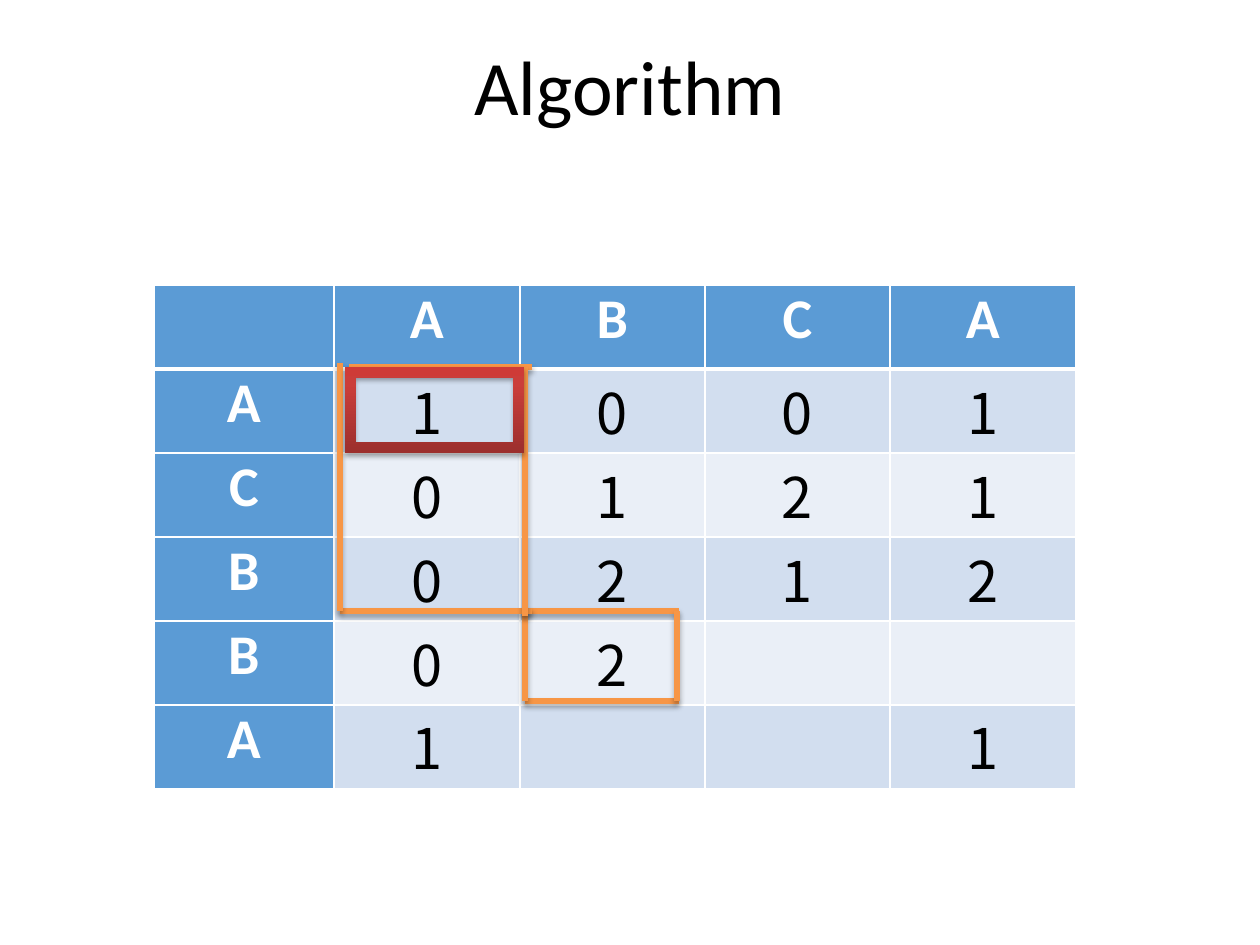
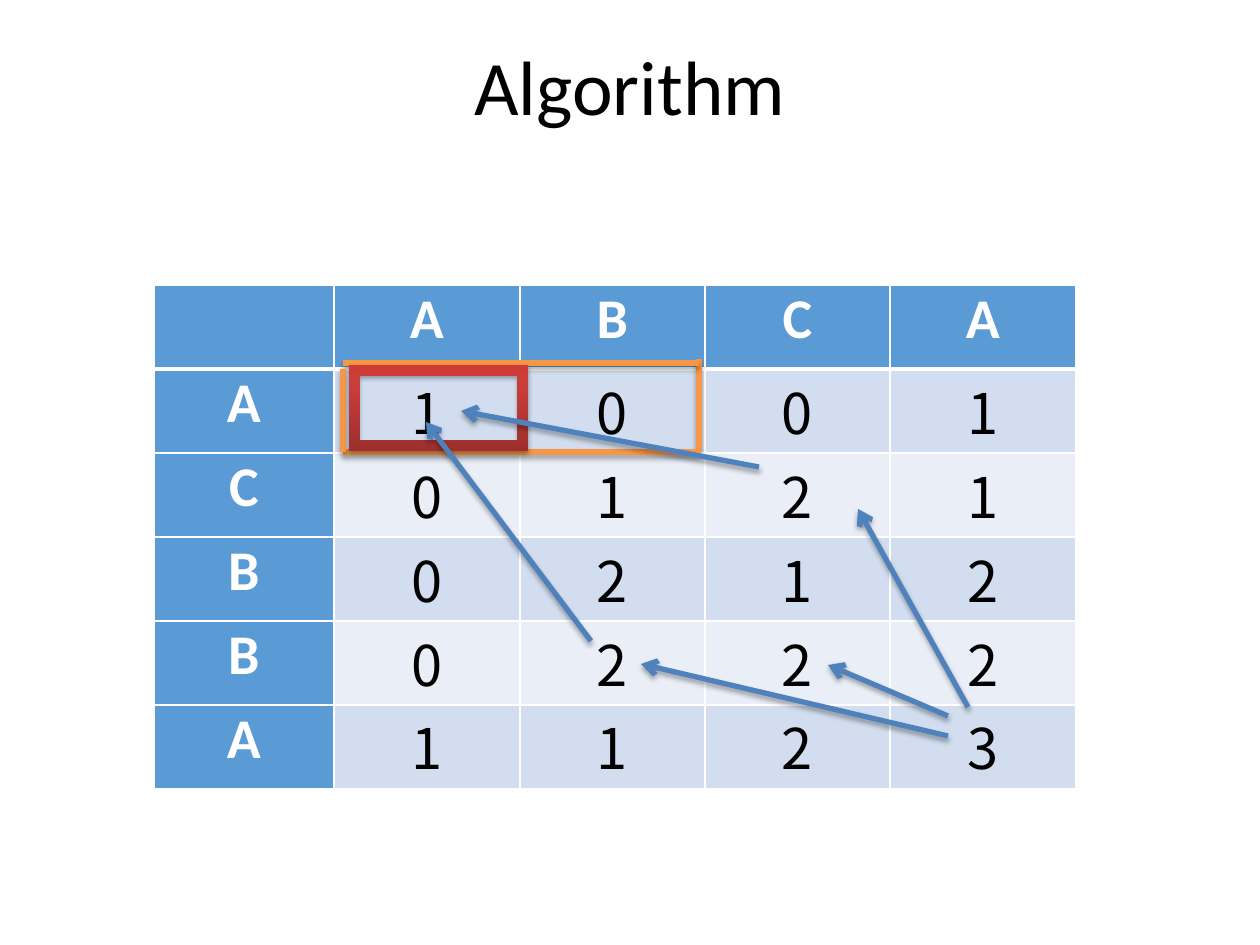
from copy import deepcopy

from lxml import etree
from pptx import Presentation
from pptx.dml.color import RGBColor
from pptx.enum.shapes import MSO_CONNECTOR, MSO_SHAPE
from pptx.enum.text import MSO_ANCHOR, PP_ALIGN
from pptx.oxml.ns import qn
from pptx.util import Emu, Pt

STRAIGHT = MSO_CONNECTOR.STRAIGHT
FRAME = MSO_SHAPE.FRAME
CENTER = PP_ALIGN.CENTER
MIDDLE = MSO_ANCHOR.MIDDLE
TOP = MSO_ANCHOR.TOP

COLORS = {
    "white": "FFFFFF", "black": "000000", "header": "5B9BD5",
    "odd_row": "D2DEEF", "even_row": "EAEFF7",
    "outline": "F79646", "arrow": "4F81BD",
}
FRAME_STOPS = [(0, "9C2F2D"), (0.8, "CB3E3A"), (1, "CE3B37")]
HEADING_FONT = "Calibri"
NUMBER_FONT = "Noto Sans CJK SC"

TITLE = "Algorithm"
TITLE_BOX = (63, 6, 1134, 158)
COLUMN_LABELS = ["A", "B", "C", "A"]
ROW_LABELS = ["A", "C", "B", "B", "A"]
TABLE_ORIGIN = (154, 285)
COLUMN_WIDTHS = [180, 186, 185, 185, 186]
ROW_HEIGHT = 84
CELL_INSET = 9

PAGES = [
    {
        "scores": ["1001", "0121", "0212", ("0", "2", "", ""), ("1", "", "", "1")],
        "outlines": [
            (679, 611, 525, 611), (679, 701, 525, 701),
            (677, 701, 677, 611), (525, 701, 525, 611),
            (532, 611, 340, 611), (532, 367, 349, 367),
            (525, 616, 525, 367), (340, 611, 340, 363),
        ],
        "frame": (345, 367, 179, 86),
        "arrows": [],
    },
    {
        "scores": ["1001", "0121", "0212", "0222", "1123"],
        "outlines": [
            (699, 359, 699, 452), (699, 452, 343, 452),
            (343, 363, 699, 363), (343, 452, 343, 369),
        ],
        "frame": (349, 365, 179, 86),
        "arrows": [
            (968, 707, 858, 509), (948, 716, 828, 665), (948, 736, 641, 664),
            (591, 641, 426, 422), (759, 467, 461, 411),
        ],
    },
]


def px(length):
    return Emu(round(length * 914400 / 126))


def place(lengths):
    return [px(length) for length in lengths]


def color(name):
    return RGBColor.from_string(COLORS[name])


def write(frame, text, font_name, size, color_name, bold=False):
    frame.text = text
    para = frame.paragraphs[0]
    para.alignment = CENTER
    for span in para.runs:
        span.font.name = font_name
        span.font.size = Pt(size)
        span.font.bold = bold
        span.font.color.rgb = color(color_name)


def add_title(page):
    box = page.shapes.add_textbox(*place(TITLE_BOX))
    box.text_frame.word_wrap = True
    box.text_frame.vertical_anchor = MIDDLE
    write(box.text_frame, TITLE, HEADING_FONT, 44, "black")


def set_borders(cell, row):
    properties = cell._tc.get_or_add_tcPr()
    widths = {"lnL": 1, "lnR": 1, "lnT": 3 if row == 1 else 1, "lnB": 3 if row == 0 else 1}
    for index, (side, width) in enumerate(widths.items()):
        border = etree.Element(qn("a:" + side), w=str(Pt(width)))
        fill = etree.SubElement(border, qn("a:solidFill"))
        etree.SubElement(fill, qn("a:srgbClr"), val=COLORS["white"])
        properties.insert(index, border)


def add_score_table(page, scores):
    rows = [["", *COLUMN_LABELS]]
    rows += [[label, *values] for label, values in zip(ROW_LABELS, scores)]
    size = (sum(COLUMN_WIDTHS), ROW_HEIGHT * len(rows))
    table = page.shapes.add_table(
        len(rows), len(COLUMN_WIDTHS), *place(TABLE_ORIGIN + size)).table
    table.first_row = table.horz_banding = False
    for column, width in zip(table.columns, COLUMN_WIDTHS):
        column.width = px(width)
    for r, values in enumerate(rows):
        table.rows[r].height = px(ROW_HEIGHT)
        for c, value in enumerate(values):
            cell = table.cell(r, c)
            heading = r == 0 or c == 0
            band = "header" if heading else "odd_row" if r % 2 else "even_row"
            cell.margin_left = cell.margin_right = px(CELL_INSET)
            cell.margin_top = cell.margin_bottom = 0
            cell.vertical_anchor = TOP
            cell.fill.solid()
            cell.fill.fore_color.rgb = color(band)
            set_borders(cell, r)
            if heading:
                write(cell.text_frame, value, HEADING_FONT, 32, "white", True)
            else:
                write(cell.text_frame, value, NUMBER_FONT, 32, "black")


def add_shadow(shape):
    effects = etree.SubElement(shape.element.spPr, qn("a:effectLst"))
    shadow = etree.SubElement(
        effects, qn("a:outerShdw"), blurRad=str(Pt(3.1)), dist=str(Pt(1.8)),
        dir="5400000", rotWithShape="0")
    shade = etree.SubElement(shadow, qn("a:srgbClr"), val=COLORS["black"])
    etree.SubElement(shade, qn("a:alpha"), val="35000")


def add_line(page, ends, color_name, arrowhead=False):
    line = page.shapes.add_connector(STRAIGHT, *place(ends))
    line.line.width = Pt(3)
    line.line.color.rgb = color(color_name)
    if arrowhead:
        stroke = line.element.spPr.find(qn("a:ln"))
        etree.SubElement(stroke, qn("a:tailEnd"), type="arrow")
    add_shadow(line)


def add_cell_frame(page, bounds):
    frame = page.shapes.add_shape(FRAME, *place(bounds))
    frame.fill.gradient()
    frame.fill.gradient_angle = 90
    stop_list = frame.element.spPr.find(".//" + qn("a:gsLst"))
    stop_list.append(deepcopy(stop_list[0]))
    for stop, (position, shade) in zip(frame.fill.gradient_stops, FRAME_STOPS):
        stop.position = position
        stop.color.rgb = RGBColor.from_string(shade)
    frame.line.fill.background()
    add_shadow(frame)


def main():
    deck = Presentation()
    deck.slide_width, deck.slide_height = px(1260), px(945)
    for content in PAGES:
        page = deck.slides.add_slide(deck.slide_layouts[6])
        add_title(page)
        add_score_table(page, content["scores"])
        for ends in content["outlines"]:
            add_line(page, ends, "outline")
        add_cell_frame(page, content["frame"])
        for ends in content["arrows"]:
            add_line(page, ends, "arrow", arrowhead=True)
    deck.save("out.pptx")


if __name__ == "__main__":
    main()
